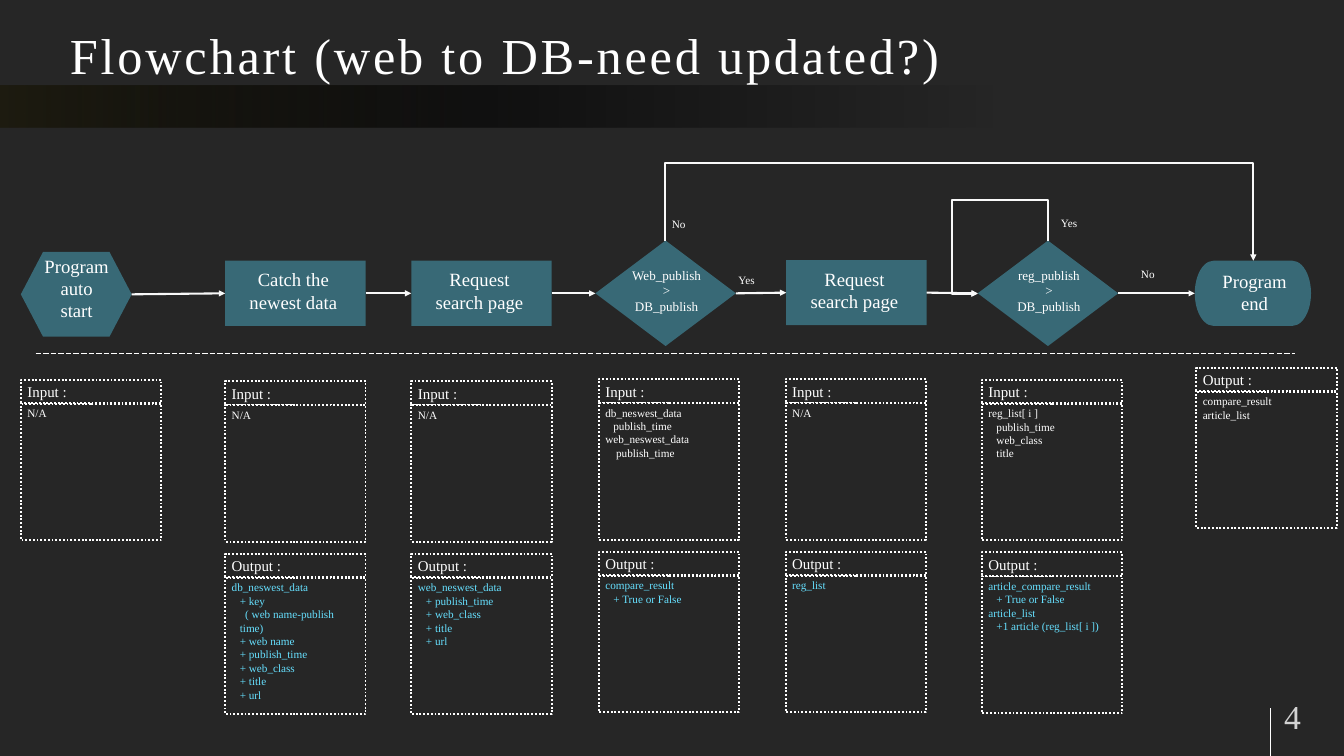
from dataclasses import dataclass
from typing import NamedTuple, Optional

from lxml.etree import SubElement
from pptx import Presentation
from pptx.dml.color import RGBColor
from pptx.enum.dml import MSO_LINE
from pptx.enum.shapes import MSO_CONNECTOR as CONN, MSO_SHAPE as SHAPE
from pptx.enum.text import MSO_ANCHOR as ANCHOR, PP_ALIGN as ALIGN
from pptx.oxml.ns import qn
from pptx.util import Inches, Pt


@dataclass(frozen=True)
class Theme:
    font: str = "Times New Roman"
    background: str = "262626"
    white: str = "FFFFFF"
    arrow: str = "F9F9F9"
    node: str = "4BACC6"
    result: str = "66E0FF"
    band: str = "1E1C11"
    black: str = "000000"
    title: int = 54
    number: int = 36
    step: int = 20
    heading: int = 16
    decision: int = 14
    small: int = 12


class Line(NamedTuple):
    text: str
    left: float = 0
    first: float = 0


class Node(NamedTuple):
    kind: SHAPE
    box: tuple
    label_box: tuple
    lines: tuple
    size: int


class Column(NamedTuple):
    left: float
    top: float
    inputs: tuple = ()
    outputs: tuple = ()


T = Theme()
PANEL_W, HEAD_H, BODY_H, BODY_DY, OUTPUT_DY = 2.09, 0.36, 2.04, 0.35, 2.57


def sub(text: str, first: float = 0) -> Line:
    return Line(text, 0.12, first)


def process(left: float, top: float, text: str) -> Node:
    return Node(SHAPE.FLOWCHART_PROCESS, (left, top, 2.09, 0.97),
                (left + 0.19, top - 0.04, 1.65, 0.97), (text,), T.step)


def decision(left: float, name: str) -> Node:
    return Node(SHAPE.FLOWCHART_DECISION, (left, 3.58, 2.09, 1.57),
                (left + 0.21, 3.97, 1.7, 0.71), (name, ">", "DB_publish"), T.decision)


NODES = (
    Node(SHAPE.FLOWCHART_PREPARATION, (0.31, 3.75, 1.65, 1.26),
         (0.55, 3.93, 1.18, 0.71), ("Program auto start",), T.step),
    process(3.35, 3.88, "Catch the newest data"),
    process(6.12, 3.88, "Request search page"),
    decision(8.86, "Web_publish"),
    process(11.7, 3.87, "Request search page"),
    decision(14.55, "reg_publish"),
    Node(SHAPE.FLOWCHART_TERMINATOR, (17.78, 3.88, 1.73, 0.97),
         (18.08, 3.99, 1.18, 0.71), ("Program end",), T.step),
)
BRANCHES = (("No", 9.9, 3.12, 0.43), ("Yes", 10.89, 4.02, 0.28),
            ("No", 16.88, 3.86, 0.45), ("Yes", 15.69, 3.1, 0.45))
NOTHING = (Line("N/A"),)
COLUMNS = (
    Column(0.31, 5.65, NOTHING),
    Column(3.35, 5.67, NOTHING, (
        Line("db_neswest_data"), sub("+ key"), sub("( web name-publish time)", 0.08),
        sub("+ web name"), sub("+ publish_time"), sub("+ web_class"),
        sub("+ title"), sub("+ url"))),
    Column(6.12, 5.67, NOTHING, (
        Line("web_neswest_data"), sub("+ publish_time"), sub("+ web_class"),
        sub("+ title"), sub("+ url"))),
    Column(8.91, 5.64, (
        Line("db_neswest_data"), sub("publish_time"),
        Line("web_neswest_data"), sub("publish_time", 0.04)),
        (Line("compare_result"), sub("+ True or False"))),
    Column(11.69, 5.64, NOTHING, (Line("reg_list"),)),
    Column(14.61, 5.65, (
        Line("reg_list[ i ]"), sub("publish_time"), sub("web_class"), sub("title")),
        (Line("article_compare_result"), sub("+ True or False"),
         Line("article_list"), sub("+1 article (reg_list[ i ])"))),
)
FINAL_OUTPUT = (Line("compare_result"), Line("article_list"))


def rgb(color: str) -> RGBColor:
    return RGBColor.from_string(color)


def set_alpha(element, percent: int) -> None:
    for color in element.iter(qn("a:srgbClr")):
        SubElement(color, qn("a:alpha"), val=str(percent * 1000))


def write(sp, lines, size: int, color: str = T.white, align=ALIGN.LEFT,
          anchor=ANCHOR.MIDDLE, wrap: bool = True):
    tf = sp.text_frame
    tf.word_wrap, tf.vertical_anchor = wrap, anchor
    for i, line in enumerate(lines):
        p = tf.paragraphs[0] if i == 0 else tf.add_paragraph()
        p.add_run().text = line.text
        p.alignment = align
        p.font.name, p.font.size, p.font.color.rgb = T.font, Pt(size), rgb(color)
        if line.left:
            pPr = p._p.get_or_add_pPr()
            pPr.set("marL", str(Inches(line.left)))
            pPr.set("indent", str(Inches(line.first)))
    return tf


def add_text(s, box, lines, size: int, inset: Optional[tuple] = None, **style):
    tf = write(s.shapes.add_textbox(*map(Inches, box)), lines, size, **style)
    if inset:
        tf.margin_left = tf.margin_right = Inches(inset[0])
        tf.margin_top = tf.margin_bottom = Inches(inset[1])
    return tf.paragraphs[0]


def add_shape(s, kind, box):
    sp = s.shapes.add_shape(kind, *map(Inches, box))
    sp.shadow.inherit = False
    sp.line.fill.background()
    return sp


def add_node(s, node: Node):
    sp = add_shape(s, node.kind, node.box)
    sp.fill.solid()
    sp.fill.fore_color.rgb = rgb(T.node)
    set_alpha(sp.fill._xPr.find(qn("a:solidFill")), 50)
    add_text(s, node.label_box, [Line(t) for t in node.lines], node.size, align=ALIGN.CENTER)
    return sp


def add_panel(s, left: float, top: float, heading: str, lines, color: str) -> None:
    for y, height, content, size, ink in (
            (top, HEAD_H, (Line(heading),), T.heading, T.white),
            (top + BODY_DY, BODY_H, lines, T.small, color)):
        sp = add_shape(s, SHAPE.RECTANGLE, (left, y, PANEL_W, height))
        sp.fill.background()
        sp.line.color.rgb, sp.line.width = rgb(T.white), Pt(2)
        sp.line.dash_style = MSO_LINE.ROUND_DOT
        write(sp, content, size, ink, anchor=ANCHOR.TOP)


def add_line(s, start, end, kind=CONN.STRAIGHT, color: str = T.white, width: float = 0.75,
             dash=None, arrow: bool = False):
    c = s.shapes.add_connector(kind, *map(Inches, (*start, *end)))
    c.line.color.rgb, c.line.width = rgb(color), Pt(width)
    if dash:
        c.line.dash_style = dash
    if arrow:
        SubElement(c.line._get_or_add_ln(), qn("a:tailEnd"), type="triangle")
    SubElement(c._element.spPr, qn("a:effectLst"))
    return c


def add_route(s, start, end, top: float, left: Optional[float] = None) -> None:
    (x0, y0), (x1, y1) = start, end
    cx, cy = (x0 + x1) / 2, (y0 + y1) / 2
    c = add_line(s, (cx + cy - y0, cy + x0 - cx), (cx + cy - y1, cy + x1 - cx),
                 CONN.ELBOW, T.arrow, 2.25, arrow=True)
    spPr = c._element.spPr
    spPr.find(qn("a:xfrm")).set("rot", "16200000")
    geom = spPr.find(qn("a:prstGeom"))
    bends = [(top - y0) / (y1 - y0)]
    if left is not None:
        geom.set("prst", "bentConnector4")
        bends.append((left - x0) / (x1 - x0))
    for i, bend in enumerate(bends, 1):
        SubElement(geom.find(qn("a:avLst")), qn("a:gd"),
                   name=f"adj{i}", fmla=f"val {round(bend * 100000)}")


def add_band(s) -> None:
    sp = add_shape(s, SHAPE.RECTANGLE, (0, 1.27, 20, 0.63))
    sp.fill.gradient()
    sp.fill.gradient_angle = 0
    stops = sp.fill._xPr.find(qn("a:gradFill")).find(qn("a:gsLst"))
    for stop in list(stops):
        stops.remove(stop)
    for position, color, alpha in ((0, T.band, 100), (39, T.black, 54), (74, T.black, 0)):
        gs = SubElement(stops, qn("a:gs"), pos=str(position * 1000))
        SubElement(gs, qn("a:srgbClr"), val=color)
        set_alpha(gs, alpha)


def main() -> None:
    prs = Presentation()
    prs.slide_width, prs.slide_height = Inches(20), Inches(11.25)
    s = prs.slides.add_slide(prs.slide_layouts[6])
    s.background.fill.solid()
    s.background.fill.fore_color.rgb = rgb(T.background)

    add_band(s)
    add_line(s, (18.9, 10.54), (18.9, 11.25))
    p = add_text(s, (0.86, 0, 18, 1.35), (Line("Flowchart (web to DB-need updated?)"),),
                 T.title, (0.18, 0.09), anchor=ANCHOR.BOTTOM)
    p.runs[0]._r.get_or_add_rPr().set("spc", "300")
    p = add_text(s, (18.93, 10.36, 1.15, 0.6), (Line("4"),), T.number, (0.18, 0.09))
    set_alpha(p._p, 80)
    add_line(s, (0.53, 5.26), (19.27, 5.26), dash=MSO_LINE.LONG_DASH)

    for col in COLUMNS:
        add_panel(s, col.left, col.top, "Input :", col.inputs, T.white)
        if col.outputs:
            add_panel(s, col.left, col.top + OUTPUT_DY, "Output :", col.outputs, T.result)
    add_panel(s, 17.8, 5.47, "Output :", FINAL_OUTPUT, T.white)

    nodes = [add_node(s, node) for node in NODES]
    for a, b in zip(nodes, nodes[1:]):
        c = add_line(s, (0, 0), (1, 0), color=T.arrow, width=2.25, arrow=True)
        c.begin_connect(a, 3)
        c.end_connect(b, 1)
    add_route(s, (9.9, 3.58), (18.65, 3.88), top=2.43)
    add_route(s, (15.6, 3.58), (14.55, 4.37), top=2.97, left=14.17)
    for text, left, top, height in BRANCHES:
        add_text(s, (left, top, 0.45, height), (Line(text),), T.small, wrap=False)

    prs.save("out.pptx")


if __name__ == "__main__":
    main()
